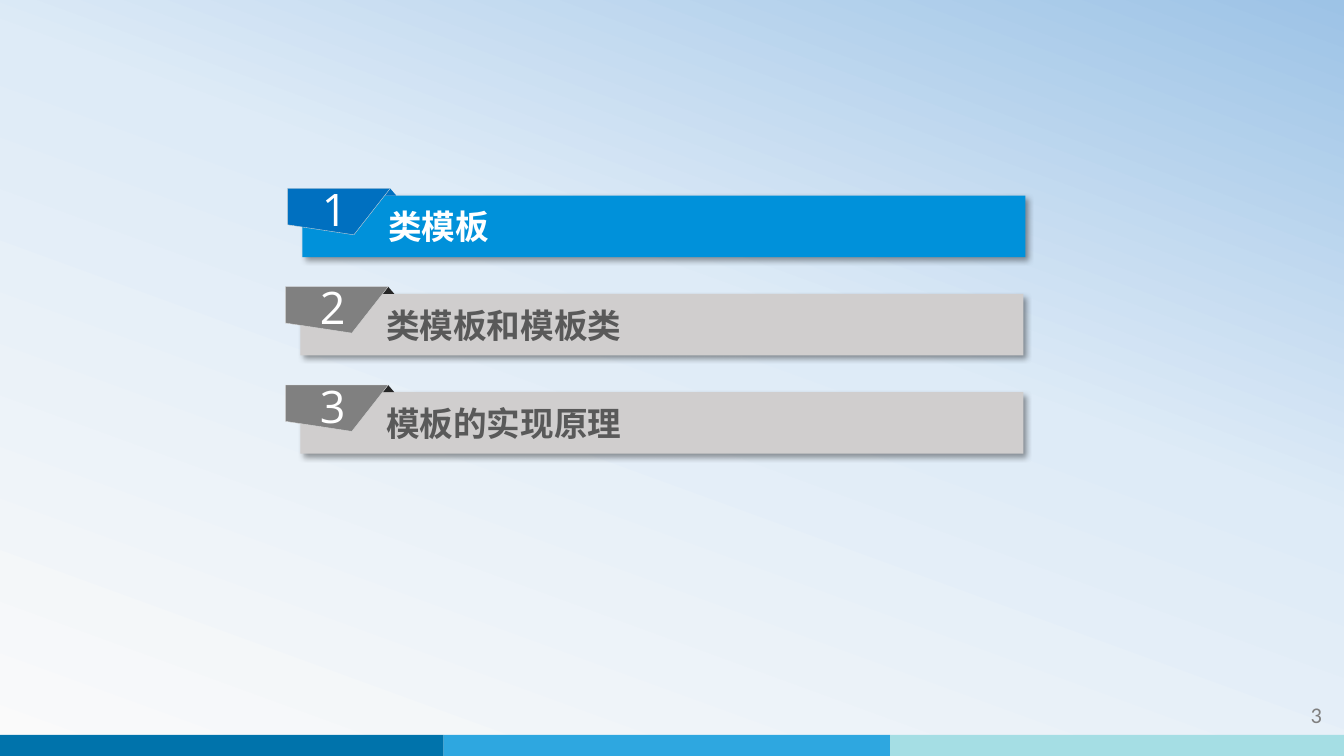
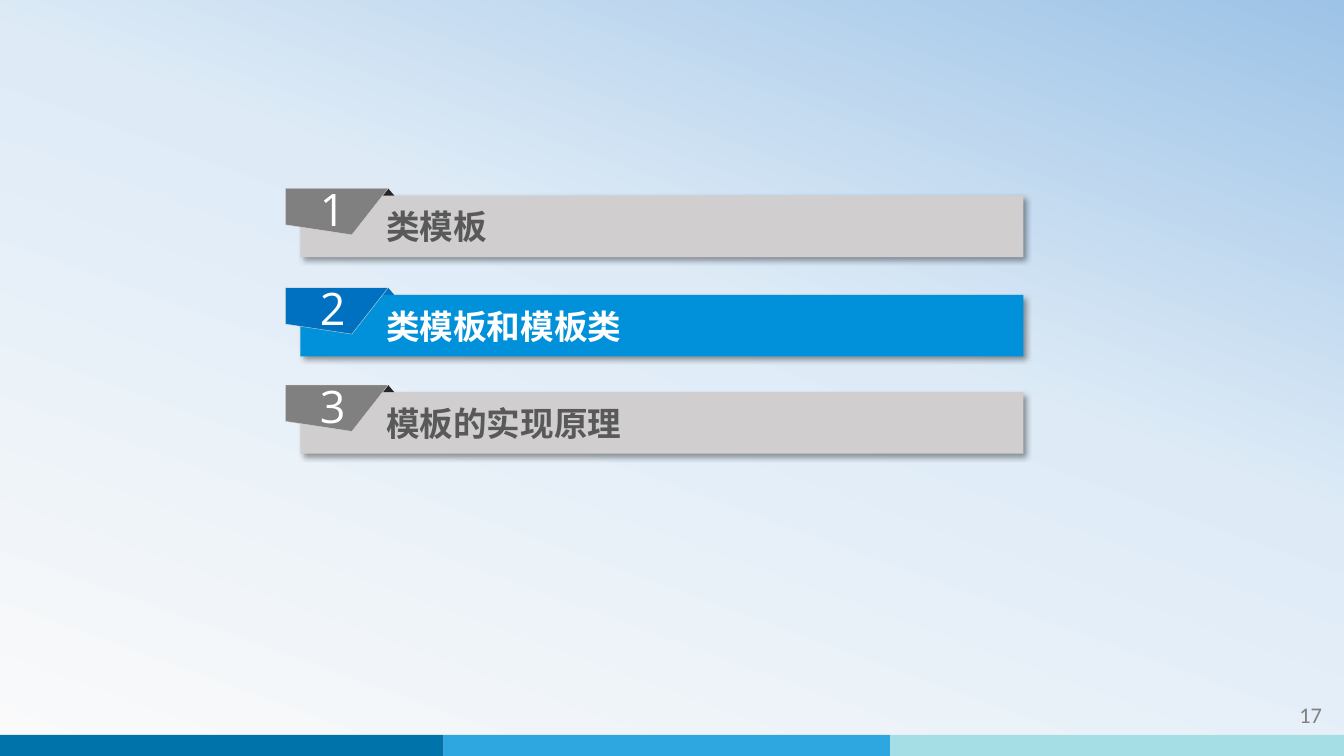
from lxml import etree
from pptx import Presentation
from pptx.dml.color import RGBColor
from pptx.enum import shapes, text
from pptx.oxml import ns, parse_xml
from pptx.util import Inches, Pt

WHITE = RGBColor(0xFF, 0xFF, 0xFF)
GREY = RGBColor(0x80, 0x80, 0x80)
OUTLINE = RGBColor(0xD9, 0xD9, 0xD9)
BLUE = RGBColor(0x00, 0x70, 0xC0)
ACTIVE = {"bar": RGBColor(0x00, 0x91, 0xDA), "label": WHITE, "flag": BLUE, "fold": BLUE}
IDLE = {"bar": RGBColor(0xD0, 0xCE, 0xCE), "label": RGBColor(0x59, 0x59, 0x59),
        "flag": GREY, "fold": RGBColor(0x26, 0x26, 0x26)}
BACKGROUND = [(0, "FAFAFA"), (58, "DEEBF7"), (100, "9DC3E6")]
BANDS = [RGBColor(0x00, 0x73, 0xAB), RGBColor(0x2E, 0xA7, 0xE0), RGBColor(0xA5, 0xDE, 0xE4)]

WIDTH, HEIGHT = 13.33, 7.5
BAND_EDGES = [0, 4.4, 8.83, WIDTH]
BAND_TOP = 7.29

CHAPTERS = ["类模板", "类模板和模板类", "模板的实现原理"]
# The active row sits slightly off the grid: (right, down)
SLIDES = [
    {"number": 3, "active": 0, "nudge": (0.02, 0)},
    {"number": 17, "active": 1, "nudge": (0, 0.01)},
]
LEFT, FIRST_TOP, LAST_TOP = 2.83, 1.87, 3.82
PITCH = (LAST_TOP - FIRST_TOP) / (len(CHAPTERS) - 1)
FLAG_OUTLINE = [(0, 0), (1.02, 0), (0.66, 0.46), (0, 0.36)]


def write(shape, content, size, color, font="Open Sans", bold=False,
          align=text.PP_ALIGN.LEFT, anchor=text.MSO_ANCHOR.MIDDLE,
          insets=(0.1, 0.05, 0.1, 0.05)):
    frame = shape.text_frame
    frame.word_wrap = True
    frame.vertical_anchor = anchor
    (frame.margin_left, frame.margin_top,
     frame.margin_right, frame.margin_bottom) = map(Inches, insets)
    paragraph = frame.paragraphs[0]
    paragraph.alignment = align
    run = paragraph.add_run()
    run.text = content
    run.font.size, run.font.bold, run.font.name = Pt(size), bold, font
    run.font.color.rgb = color
    east_asian = etree.Element(ns.qn("a:ea"), typeface=font)
    run.font._element.find(ns.qn("a:latin")).addnext(east_asian)


def paint(shape, color, line=None):
    shape.shadow.inherit = False
    shape.fill.solid()
    shape.fill.fore_color.rgb = color
    if line is None:
        shape.line.fill.background()
    else:
        shape.line.color.rgb = line
        shape.line.width = Pt(0.25)
    return shape


def add_box(container, kind, left, top, width, height, color):
    box = container.shapes.add_shape(kind, *map(Inches, (left, top, width, height)))
    return paint(box, color)


def cast_shadow(shape):
    effects = shape.element.spPr.find(ns.qn("a:effectLst"))
    effects.append(parse_xml(
        f'<a:outerShdw {ns.nsdecls("a")} blurRad="{Pt(4)}" dist="{Pt(3)}" dir="2700000" '
        'algn="tl" rotWithShape="0"><a:srgbClr val="000000"><a:alpha val="40000"/>'
        '</a:srgbClr></a:outerShdw>'))


def set_background(master):
    fill = master.background.fill
    fill.gradient()
    fill.gradient_angle = 70
    stops = next(master.element.iter(ns.qn("a:gsLst")))
    for stop in list(stops):
        stops.remove(stop)
    for position, color in BACKGROUND:
        stop = etree.SubElement(stops, ns.qn("a:gs"), pos=str(position * 1000))
        etree.SubElement(stop, ns.qn("a:srgbClr"), val=color)


def move_bands_to_layout(slide, layout):
    """Draw the footer bands on a slide, then hand them to its layout."""
    for placeholder in list(layout.placeholders):
        layout.shapes.element.remove(placeholder.element)
    for left, right, color in zip(BAND_EDGES, BAND_EDGES[1:], BANDS):
        band = add_box(slide, shapes.MSO_SHAPE.RECTANGLE, left, BAND_TOP,
                       right - left, HEIGHT - BAND_TOP, color)
        layout.shapes.element.append(band.element)


def add_chapter(slide, number, label, left, top, colors):
    group = slide.shapes.add_group_shape()
    bar = add_box(group, shapes.MSO_SHAPE.RECTANGLE,
                  left + 0.15, top + 0.07, 7.17, 0.61, colors["bar"])
    cast_shadow(bar)
    write(bar, label, 24, colors["label"], font="Noto Sans CJK SC", bold=True,
          insets=(0.85, 0.05, 0.1, 0.05))
    add_box(group, shapes.MSO_SHAPE.ISOSCELES_TRIANGLE,
            left + 0.96, top, 0.12, 0.07, colors["fold"])
    start, *corners = [(Inches(left + x), Inches(top + y)) for x, y in FLAG_OUTLINE]
    builder = group.shapes.build_freeform(*start)
    builder.add_line_segments(corners, close=True)
    flag = paint(builder.convert_to_shape(), colors["flag"], line=OUTLINE)
    write(flag, str(number), 32, WHITE, align=text.PP_ALIGN.CENTER,
          insets=(0.09, 0.04, 0.17, 0.1))


def add_contents_slide(presentation, layout, number, active, nudge):
    slide = presentation.slides.add_slide(layout)
    page = slide.shapes.add_textbox(*map(Inches, (11.62, 6.91, 1.59, 0.4)))
    write(page, str(number), 16, GREY, font="Calibri",
          align=text.PP_ALIGN.RIGHT, anchor=text.MSO_ANCHOR.TOP)
    for row, label in enumerate(CHAPTERS):
        right, down = nudge if row == active else (0, 0)
        add_chapter(slide, row + 1, label, LEFT + right, FIRST_TOP + row * PITCH + down,
                    ACTIVE if row == active else IDLE)
    return slide


def main():
    presentation = Presentation()
    presentation.slide_width, presentation.slide_height = Inches(WIDTH), Inches(HEIGHT)
    set_background(presentation.slide_master)
    layout = presentation.slide_layouts.get_by_name("Blank")
    slides = [add_contents_slide(presentation, layout, **content) for content in SLIDES]
    move_bands_to_layout(slides[0], layout)
    presentation.save("out.pptx")


if __name__ == "__main__":
    main()
